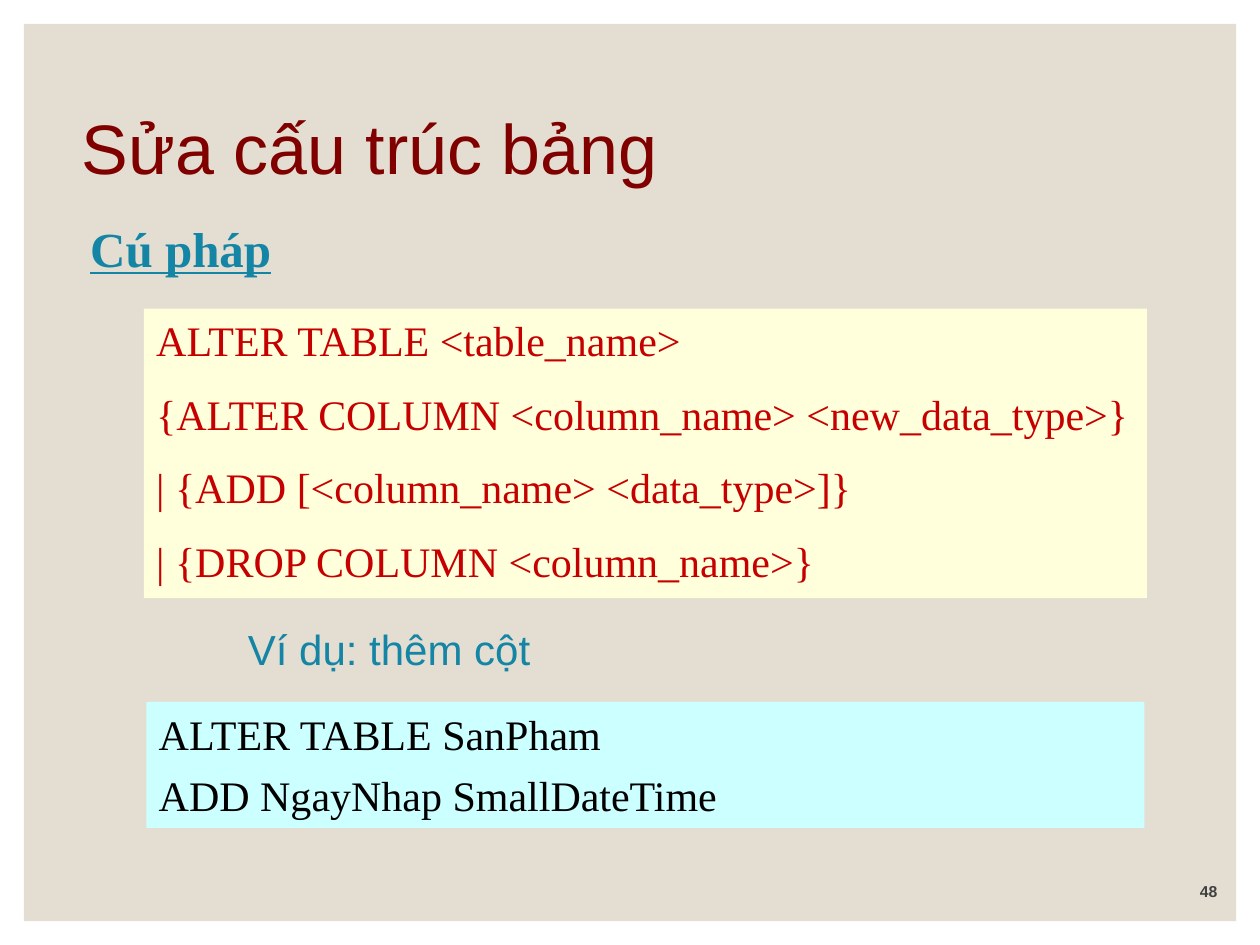
from dataclasses import dataclass

from pptx import Presentation
from pptx.dml.color import RGBColor
from pptx.enum.shapes import MSO_SHAPE
from pptx.enum.text import MSO_ANCHOR, PP_ALIGN
from pptx.util import Cm, Pt

RECT = MSO_SHAPE.RECTANGLE
TOP, MIDDLE, BOTTOM = MSO_ANCHOR.TOP, MSO_ANCHOR.MIDDLE, MSO_ANCHOR.BOTTOM
LEFT, CENTER, RIGHT = PP_ALIGN.LEFT, PP_ALIGN.CENTER, PP_ALIGN.RIGHT
JUSTIFY = PP_ALIGN.JUSTIFY


@dataclass(frozen=True)
class Theme:
    sans: str = "Arial"
    serif: str = "Times New Roman"
    panel: str = "E3DED1"
    title: str = "800000"
    accent: str = "1485A4"
    syntax: str = "C60000"
    syntax_fill: str = "FFFFDC"
    example: str = "000000"
    example_fill: str = "CCFFFF"
    number: str = "404040"
    title_size: int = 40
    heading_size: int = 28
    body_size: int = 24
    number_size: int = 9


THEME = Theme()

SYNTAX = [
    "ALTER TABLE <table_name>",
    "{ALTER COLUMN <column_name> <new_data_type>}",
    "| {ADD [<column_name> <data_type>]}",
    "| {DROP COLUMN <column_name>}",
]
EXAMPLE = ["ALTER TABLE SanPham", "ADD NgayNhap SmallDateTime"]


def add_panel(slide, box, fill):
    sp = slide.shapes.add_shape(RECT, *map(Cm, box))
    sp.shadow.inherit = False
    sp.fill.solid()
    sp.fill.fore_color.rgb = RGBColor.from_string(fill)
    sp.line.fill.background()
    return sp


def write(sp, lines, font, size, color, align=LEFT, anchor=TOP, gap=0,
          wrap=True, bold=False, underline=False, spacing=1.0):
    tf = sp.text_frame
    tf.word_wrap = wrap
    tf.vertical_anchor = anchor
    for i, line in enumerate(lines):
        p = tf.paragraphs[0] if i == 0 else tf.add_paragraph()
        p.text = line
        p.alignment = align
        p.line_spacing = spacing
        p.space_before = Pt(gap if i else 0)
        p.font.name = font
        p.font.size = Pt(size)
        p.font.bold = bold
        p.font.underline = underline
        p.font.color.rgb = RGBColor.from_string(color)


def add_label(slide, box, text, font, size, color, **style):
    sp = slide.shapes.add_textbox(*map(Cm, box))
    write(sp, [text], font, size, color, **style)


def add_code(slide, box, lines, fill, color, **style):
    sp = add_panel(slide, box, fill)
    write(sp, lines, THEME.serif, THEME.body_size, color, **style)


def main():
    prs = Presentation()
    prs.slide_width, prs.slide_height = Cm(25.4), Cm(19.05)
    s = prs.slides.add_slide(prs.slide_layouts[6])

    add_panel(s, (0.48, 0.48, 24.44, 18.09), THEME.panel)
    add_label(s, (1.4, 1.47, 21.64, 3.18), "Sửa cấu trúc bảng", THEME.sans,
              THEME.title_size, THEME.title, anchor=MIDDLE, spacing=0.9)
    add_label(s, (21.74, 17.53, 3.05, 0.76), "48", THEME.sans,
              THEME.number_size, THEME.number, align=RIGHT, anchor=BOTTOM,
              bold=True)
    add_code(s, (2.9, 6.22, 20.22, 5.84), SYNTAX, THEME.syntax_fill,
             THEME.syntax, gap=13.2)
    add_label(s, (1.57, 4.27, 6.99, 1.45), "Cú pháp", THEME.serif,
              THEME.heading_size, THEME.accent, anchor=BOTTOM, bold=True,
              underline=True)
    add_label(s, (4.72, 12.42, 6.25, 1.3), "Ví dụ: thêm cột", THEME.sans,
              THEME.body_size, THEME.accent, align=CENTER, anchor=BOTTOM,
              wrap=False)
    add_code(s, (2.95, 14.15, 20.12, 2.54), EXAMPLE, THEME.example_fill,
             THEME.example, align=JUSTIFY, gap=6)

    prs.save("out.pptx")


if __name__ == "__main__":
    main()
